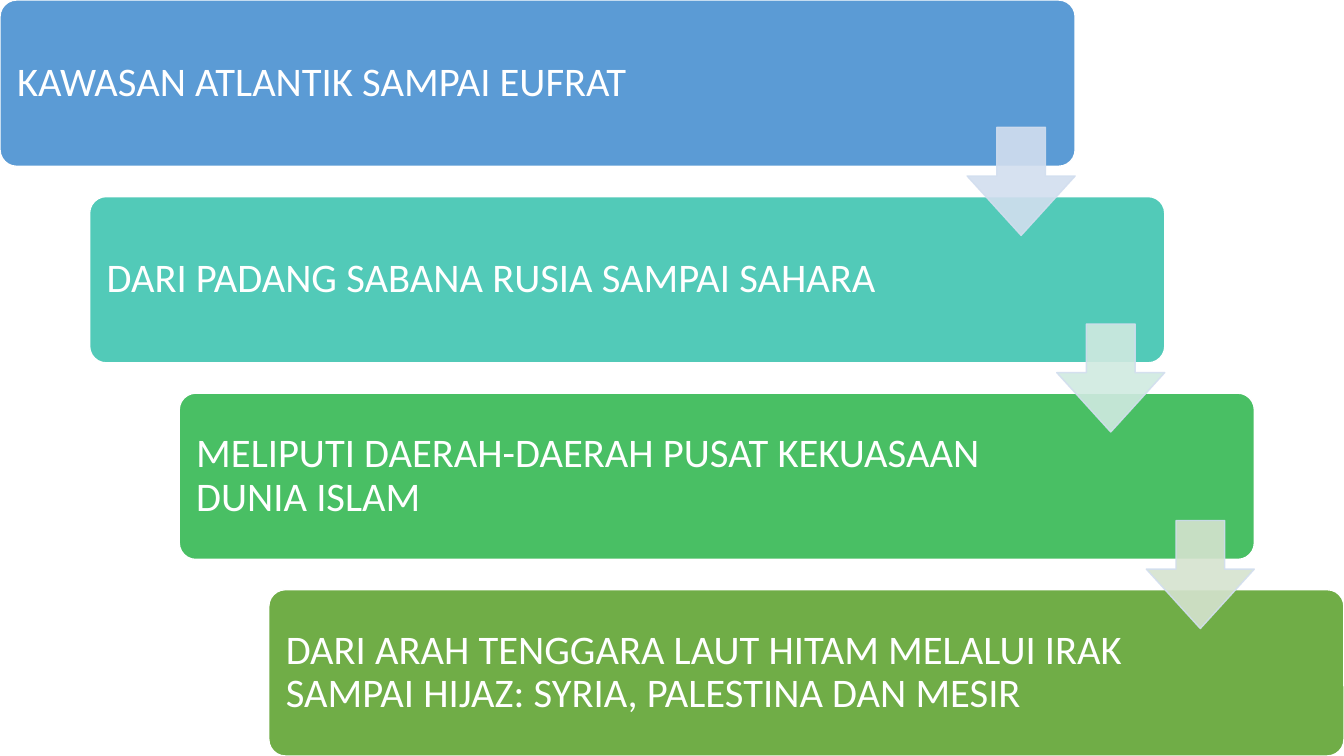
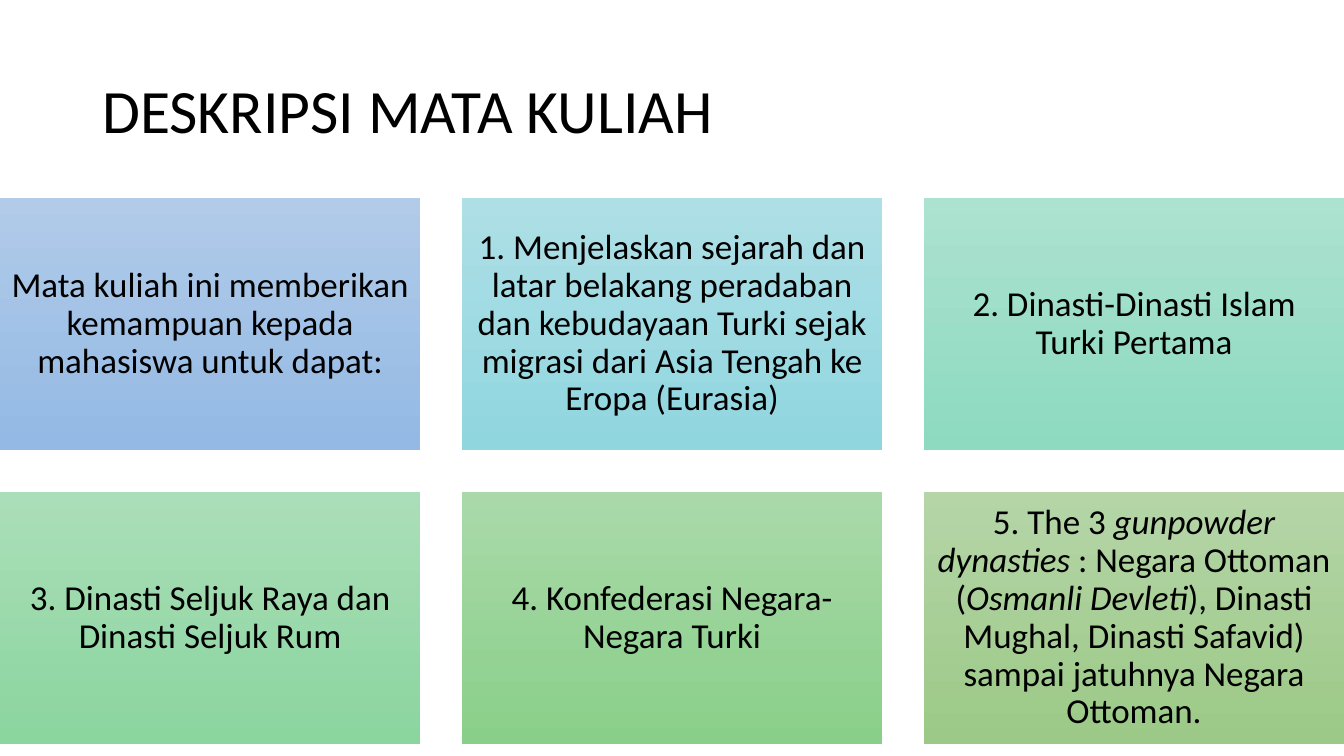
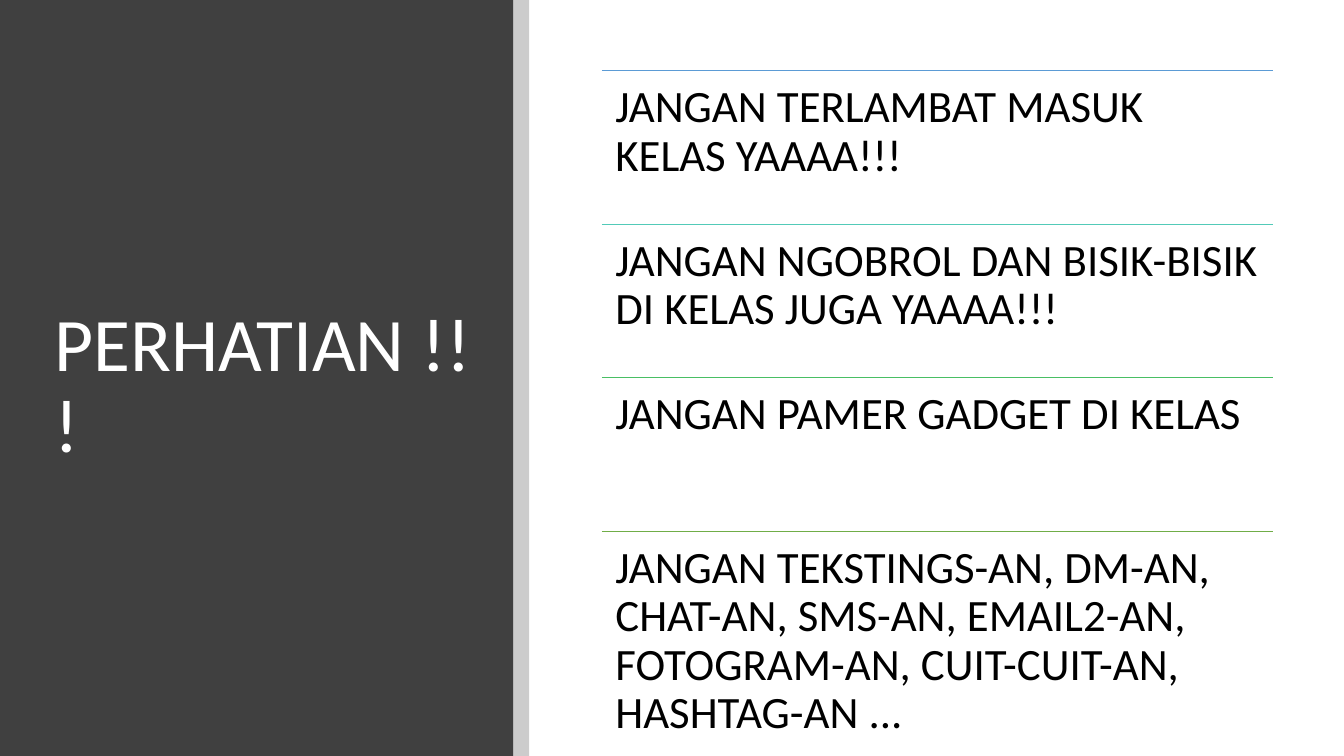
from lxml.etree import SubElement
from pptx import Presentation
from pptx.dml.color import RGBColor
from pptx.enum.shapes import MSO_CONNECTOR, MSO_SHAPE
from pptx.enum.text import MSO_ANCHOR, PP_ALIGN
from pptx.oxml.ns import qn
from pptx.util import Pt

# Shared style
FONT = "Calibri"
SLIDE_W, SLIDE_H = 960, 540
COLORS = {
    "white": "FFFFFF", "black": "000000", "panel": "404040",
    "blue": "5B9BD5", "teal": "52CAB8", "green": "49BF64", "olive": "70AD47",
    "pale blue": "D2DEEF", "pale teal": "D0EAE1", "pale green": "D5E3CF",
}

# Content: region steps with their colour
REGIONS = [
    ("KAWASAN ATLANTIK SAMPAI EUFRAT", "blue"),
    ("DARI PADANG SABANA RUSIA SAMPAI SAHARA", "teal"),
    ("MELIPUTI DAERAH-DAERAH PUSAT KEKUASAAN DUNIA ISLAM", "green"),
    ("DARI ARAH TENGGARA LAUT HITAM MELALUI IRAK SAMPAI HIJAZ: "
     "SYRIA, PALESTINA DAN MESIR", "olive"),
]
ARROW_COLORS = ["pale blue", "pale teal", "pale green"]

# Content: course topics as runs (text, italic) with gradient ends
COURSE_TITLE = "DESKRIPSI MATA KULIAH"
TOPICS = [
    ([("Mata kuliah ini memberikan kemampuan kepada mahasiswa untuk dapat:", False)],
     ("B1CBE9", "93B9E4")),
    ([("1. Menjelaskan sejarah dan latar belakang peradaban dan kebudayaan Turki "
       "sejak migrasi dari Asia Tengah ke Eropa (Eurasia)", False)],
     ("AEDFE6", "90D6DF")),
    ([("2. Dinasti-Dinasti Islam Turki Pertama", False)], ("ACE2D0", "8DDAC1")),
    ([("3. Dinasti Seljuk Raya dan Dinasti Seljuk Rum", False)], ("AADEB8", "8BD59F")),
    ([("4. Konfederasi Negara-Negara Turki", False)], ("A9D9A9", "8ACF89")),
    ([("5. The 3 ", False), ("gunpowder dynasties", True), (" : Negara Ottoman (", False),
      ("Osmanli Devleti", True),
      ("), Dinasti Mughal, Dinasti Safavid) sampai jatuhnya Negara Ottoman.", False)],
     ("B5D5A7", "9CC987")),
]

# Content: class rules
RULES_TITLE = "PERHATIAN !!!"
RULES = [
    ("JANGAN TERLAMBAT MASUK KELAS YAAAA!!!", "blue"),
    ("JANGAN NGOBROL DAN BISIK-BISIK DI KELAS JUGA YAAAA!!!", "teal"),
    ("JANGAN PAMER GADGET DI KELAS", "green"),
    ("JANGAN TEKSTINGS-AN, DM-AN, CHAT-AN, SMS-AN, EMAIL2-AN, "
     "FOTOGRAM-AN, CUIT-CUIT-AN, HASHTAG-AN ...", "olive"),
]


def rgb(color):
    return RGBColor.from_string(COLORS.get(color, color))


def set_alpha(fill_parent, percent):
    color = fill_parent.find(qn("a:solidFill")).find(qn("a:srgbClr"))
    SubElement(color, qn("a:alpha")).set("val", str(percent * 1000))


def write(shape, text, size, color="white", align=PP_ALIGN.LEFT,
          anchor=MSO_ANCHOR.MIDDLE, insets=(7.2, 3.6, 7.2, 3.6)):
    """Fill a shape with one paragraph; text is a string or (text, italic) runs."""
    frame = shape.text_frame
    frame.word_wrap = True
    frame.vertical_anchor = anchor
    frame.margin_left, frame.margin_top, frame.margin_right, frame.margin_bottom = map(Pt, insets)
    paragraph = frame.paragraphs[0]
    paragraph.alignment = align
    paragraph.line_spacing = 0.9
    for words, italic in [(text, False)] if isinstance(text, str) else text:
        run = paragraph.add_run()
        run.text = words
        run.font.name, run.font.size, run.font.italic = FONT, Pt(size), italic
        run.font.color.rgb = rgb(color)


def add_box(slide, box, kind=MSO_SHAPE.RECTANGLE, fill=None, line=None, alpha=None, adjust=()):
    shape = slide.shapes.add_shape(kind, *map(Pt, box))
    shape.shadow.inherit = False
    for index, value in enumerate(adjust):
        shape.adjustments[index] = value
    if isinstance(fill, tuple):
        shape.fill.gradient()
        shape.fill.gradient_angle = 270
        for stop, color in zip(shape.fill.gradient_stops, fill):
            stop.color.rgb = rgb(color)
    else:
        shape.fill.solid()
        shape.fill.fore_color.rgb = rgb(fill)
    if line:
        shape.line.color.rgb = rgb(line)
        shape.line.width = Pt(1)
    else:
        shape.line.fill.background()
    if alpha:
        properties = shape.element.spPr
        set_alpha(properties, alpha)
        if line:
            set_alpha(properties.find(qn("a:ln")), alpha)
    return shape


def add_text(slide, box, text, size, **style):
    write(slide.shapes.add_textbox(*map(Pt, box)), text, size, **style)


def add_rule_line(slide, left, right, y, color):
    rule_line = slide.shapes.add_connector(MSO_CONNECTOR.STRAIGHT, Pt(left), Pt(y), Pt(right), Pt(y))
    rule_line.line.color.rgb = rgb(color)
    rule_line.line.width = Pt(0.5)
    SubElement(rule_line.element.spPr, qn("a:effectLst"))


def build_regions(slide):
    step_w, step_h, arrow = 768, 118.8, 77.2
    shift_x = (SLIDE_W - step_w) / (len(REGIONS) - 1)
    shift_y = (SLIDE_H - step_h) / (len(REGIONS) - 1)
    for i, (region, color) in enumerate(REGIONS):
        step = add_box(slide, (i * shift_x, i * shift_y, step_w, step_h),
                       MSO_SHAPE.ROUNDED_RECTANGLE, color, "white", adjust=[0.1])
        write(step, region, 29, insets=(8.7, 8.7, 150, 8.7))
    # Each arrow ends at its step's right edge, centred on the gap below
    for i, color in enumerate(ARROW_COLORS):
        left = i * shift_x + step_w - arrow
        top = i * shift_y + (step_h + shift_y - arrow) / 2
        add_box(slide, (left, top, arrow, arrow), MSO_SHAPE.DOWN_ARROW, color,
                "pale blue", alpha=90, adjust=[0.45, 0.55])


def build_course(slide):
    add_text(slide, (66, 28.75, 828, 104.4), COURSE_TITLE, 44, color="black")
    columns, card_w, card_h, gap, top = 3, 300, 180, 30, 141.5
    for i, (topic, gradient) in enumerate(TOPICS):
        row, column = divmod(i, columns)
        card = add_box(slide, (column * (card_w + gap), top + row * (card_h + gap), card_w, card_h),
                       fill=gradient)
        write(card, topic, 25, color="black", align=PP_ALIGN.CENTER, insets=(7.5,) * 4)


def build_rules(slide):
    panel_w = 366.5
    add_box(slide, (0, 0, panel_w, SLIDE_H), fill="panel")
    add_text(slide, (32, 64, 328, 425.5), RULES_TITLE, 54)
    add_box(slide, (panel_w, 0, 11.5, SLIDE_H), fill="black", alpha=20)
    left, width, top, row_h = 430, 479.5, 50.5, 109.7
    for i, (rule, color) in enumerate(RULES):
        y = top + i * row_h
        add_rule_line(slide, left, left + width, y, color)
        add_text(slide, (left, y, width, row_h), rule, 32, color="black",
                 anchor=MSO_ANCHOR.TOP, insets=(9.6,) * 4)


def main():
    deck = Presentation()
    deck.slide_width, deck.slide_height = Pt(SLIDE_W), Pt(SLIDE_H)
    for build in (build_regions, build_course, build_rules):
        build(deck.slides.add_slide(deck.slide_layouts[6]))
    deck.save("out.pptx")


if __name__ == "__main__":
    main()
